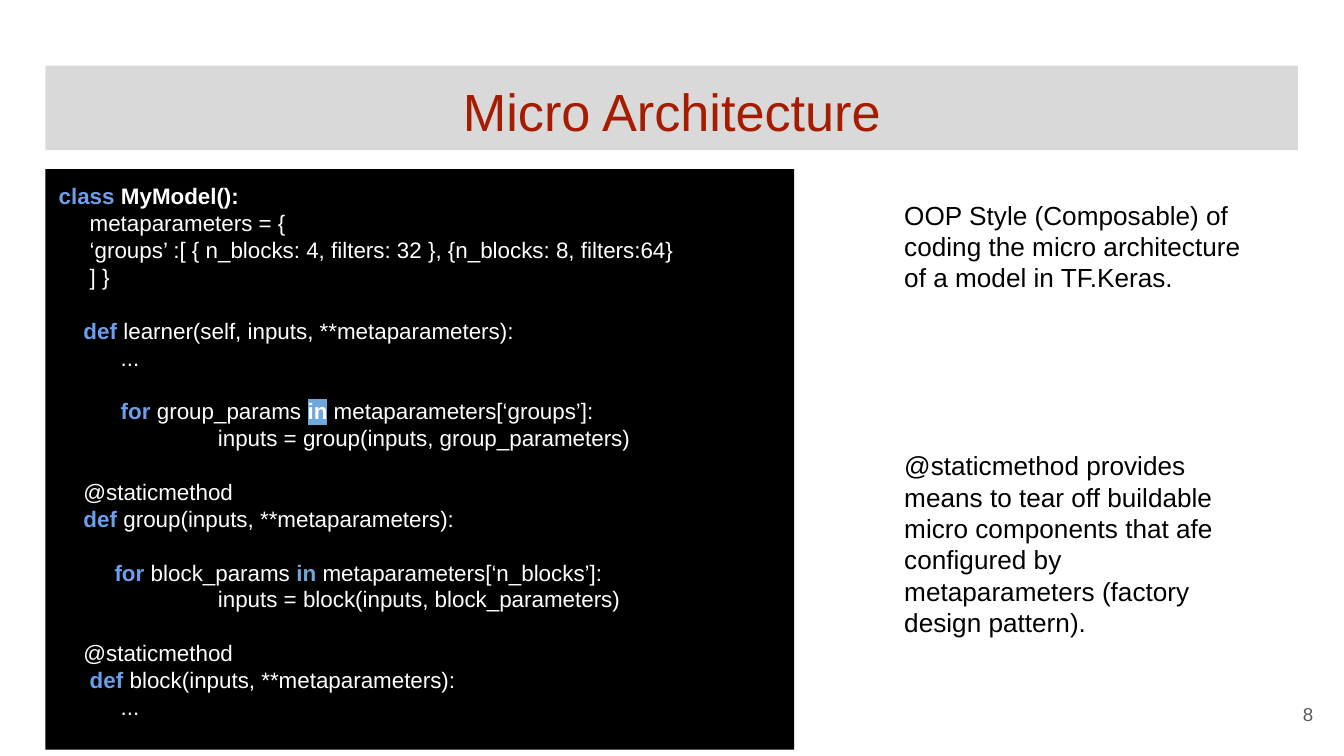
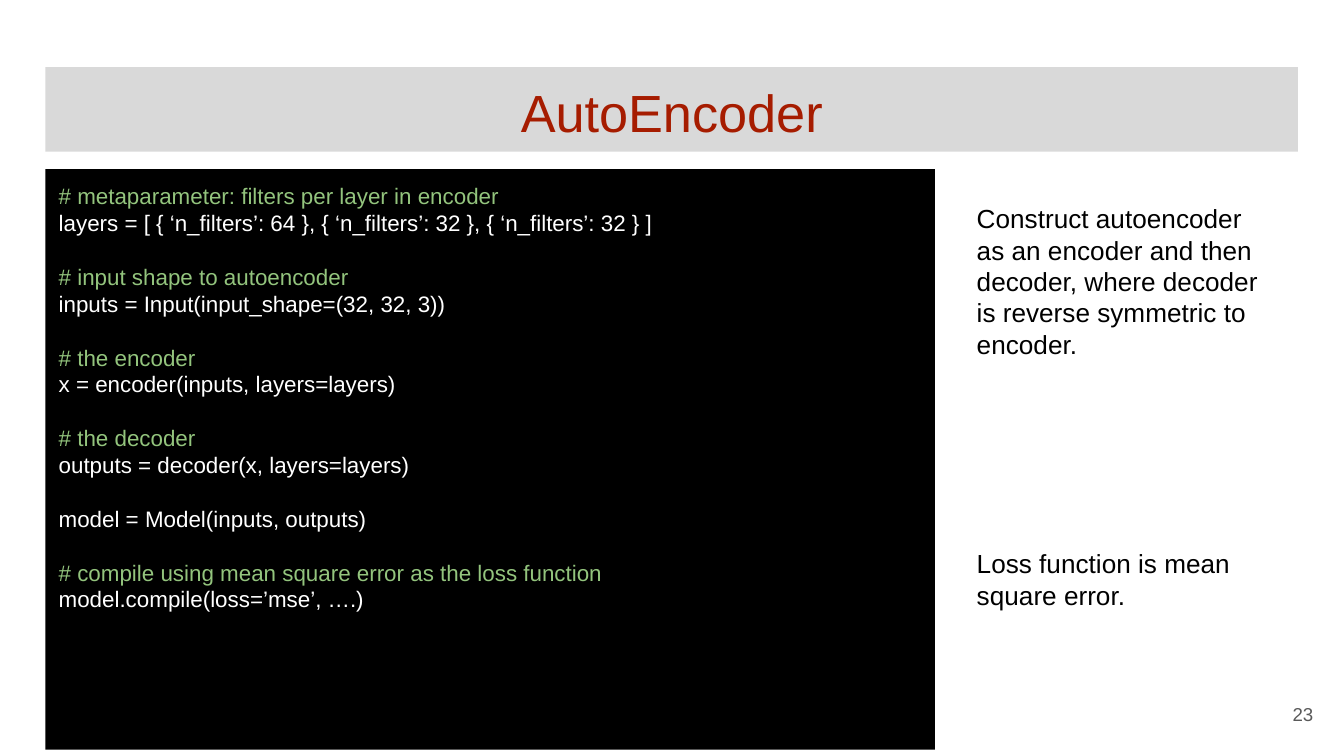
from dataclasses import dataclass
from typing import NamedTuple

import lxml.etree
import pptx
import pptx.dml.color
import pptx.enum.shapes
import pptx.enum.text
import pptx.oxml.ns
import pptx.util

Cm = pptx.util.Cm
Pt = pptx.util.Pt
Align = pptx.enum.text.PP_ALIGN
Anchor = pptx.enum.text.MSO_ANCHOR

COLORS = {
    "band": "D9D9D9",
    "title": "A61C00",
    "panel": "000000",
    "code": "FFFFFF",
    "keyword": "6D9EEB",
    "operator": "6FA8DC",
    "comment": "93C47D",
    "remark": "000000",
    "number": "595959",
}
FONT = "Arial"
LEFT = 0.86
LINE_FACTOR = 1.2
CODE_SIZE = 12
REMARK_SIZE = 14
INSET = Cm(0.25)
TAB_STOP = Cm(2.54)


class Box(NamedTuple):
    """Left, top, width and height in centimetres."""
    left: float
    top: float
    width: float
    height: float

    def lengths(self) -> tuple:
        return tuple(Cm(value) for value in self)


class Span(NamedTuple):
    text: str
    color: str = "code"
    bold: bool = False
    highlight: str = ""


@dataclass
class Remark:
    text: str
    lines_before: int = 0


@dataclass
class CodeSlide:
    title: str
    title_top: float
    code: list
    code_width: float
    remarks: list
    remark_box: Box
    number: int


def keyword(text: str) -> Span:
    return Span(text, "keyword", True)


def comment(text: str) -> list:
    return [Span(text, "comment")]


def plain(text: str) -> list:
    return [Span(text)]


BLANK = []

SLIDES = [
    CodeSlide(
        title="Micro Architecture",
        title_top=1.24,
        code=[
            [keyword("class "), Span("MyModel():", bold=True)],
            plain("     metaparameters = {"),
            plain("     ‘groups’ :[ { n_blocks: 4, filters: 32 }, {n_blocks: 8, filters:64} "),
            plain("     ] }"),
            BLANK,
            [keyword("    def "), Span("learner(self, inputs, **metaparameters):")],
            plain("          ..."),
            BLANK,
            [keyword("          for"), Span(" group_params "),
             Span("in", bold=True, highlight="operator"), Span(" metaparameters[‘groups’]:")],
            plain("\t    inputs = group(inputs, group_parameters)"),
            BLANK,
            plain("    @staticmethod"),
            [keyword("    def "), Span("group(inputs, **metaparameters):")],
            BLANK,
            [keyword("         for"), Span(" block_params "),
             Span("in", "operator", True), Span(" metaparameters[‘n_blocks’]:")],
            plain("\t    inputs = block(inputs, block_parameters)"),
            BLANK,
            plain("    @staticmethod"),
            [keyword("     def "), Span("block(inputs, **metaparameters):")],
            plain("          ..."),
        ],
        code_width=14.15,
        remarks=[
            Remark("OOP Style (Composable) of coding the micro architecture of a model in TF.Keras."),
            Remark("@staticmethod provides means to tear off buildable micro components that afe "
                   "configured by metaparameters (factory design pattern).", 5),
        ],
        remark_box=Box(16.84, 3.51, 7.21, 10.03),
        number=8,
    ),
    CodeSlide(
        title="AutoEncoder",
        title_top=1.27,
        code=[
            comment("# metaparameter: filters per layer in encoder"),
            plain("layers = [ { ‘n_filters’: 64 }, { ‘n_filters’: 32 }, { ‘n_filters’: 32 } ]"),
            BLANK,
            comment("# input shape to autoencoder"),
            plain("inputs = Input(input_shape=(32, 32, 3))"),
            BLANK,
            comment("# the encoder"),
            plain("x = encoder(inputs, layers=layers)"),
            BLANK,
            comment("# the decoder"),
            plain("outputs = decoder(x, layers=layers)"),
            BLANK,
            plain("model = Model(inputs, outputs)"),
            BLANK,
            comment("# compile using mean square error as the loss function"),
            plain("model.compile(loss=’mse’, ….)"),
        ],
        code_width=16.81,
        remarks=[
            Remark("Construct autoencoder as an encoder and then decoder, where decoder "
                   "is reverse symmetric to encoder."),
            Remark("Loss function is mean square error.", 6),
        ],
        remark_box=Box(18.21, 3.58, 6.12, 10.31),
        number=23,
    ),
]


def rgb(name: str) -> pptx.dml.color.RGBColor:
    return pptx.dml.color.RGBColor.from_string(COLORS[name])


def prepare_frame(shape, anchor=Anchor.TOP):
    frame = shape.text_frame
    frame.word_wrap = True
    frame.vertical_anchor = anchor
    frame.margin_left = frame.margin_right = INSET
    frame.margin_top = frame.margin_bottom = INSET
    return frame


def add_panel(slide, box: Box, fill: str):
    """Add a borderless filled rectangle and return its text frame."""
    shape = slide.shapes.add_shape(pptx.enum.shapes.MSO_SHAPE.RECTANGLE, *box.lengths())
    shape.shadow.inherit = False
    shape.fill.solid()
    shape.fill.fore_color.rgb = rgb(fill)
    shape.line.fill.background()
    return prepare_frame(shape)


def style_paragraph(paragraph, size: int, color: str, alignment=Align.LEFT) -> None:
    paragraph.alignment = alignment
    paragraph.font.name = FONT
    paragraph.font.size = Pt(size)
    paragraph.font.color.rgb = rgb(color)


def space_lines(paragraph, size: int, lines_before: int) -> None:
    """Fix the line height and leave a gap of whole lines above."""
    line_height = size * LINE_FACTOR
    paragraph.line_spacing = Pt(line_height)
    if lines_before:
        paragraph.space_before = Pt(lines_before * line_height)


def next_paragraph(frame, first: bool):
    return frame.paragraphs[0] if first else frame.add_paragraph()


def add_tab_stop(paragraph) -> None:
    properties = paragraph._p.get_or_add_pPr()
    tabs = lxml.etree.SubElement(properties, pptx.oxml.ns.qn("a:tabLst"))
    lxml.etree.SubElement(tabs, pptx.oxml.ns.qn("a:tab"), pos=str(TAB_STOP), algn="l")


def add_highlight(run, color: str) -> None:
    properties = run._r.get_or_add_rPr()
    highlight = lxml.etree.SubElement(properties, pptx.oxml.ns.qn("a:highlight"))
    lxml.etree.SubElement(highlight, pptx.oxml.ns.qn("a:srgbClr"), val=COLORS[color])


def add_title(slide, text: str, top: float) -> None:
    frame = add_panel(slide, Box(LEFT, top, 23.67, 1.6), "band")
    paragraph = frame.paragraphs[0]
    paragraph.text = text
    style_paragraph(paragraph, 28, "title", Align.CENTER)


def add_code(slide, lines: list, width: float) -> None:
    frame = add_panel(slide, Box(LEFT, 3.2, width, 10.97), "panel")
    blanks = 0
    for index, spans in enumerate(lines):
        if not spans:
            blanks += 1
            continue
        paragraph = next_paragraph(frame, index == 0)
        if spans[0].text.startswith("\t"):
            add_tab_stop(paragraph)
        space_lines(paragraph, CODE_SIZE, blanks)
        style_paragraph(paragraph, CODE_SIZE, "code")
        blanks = 0
        for span in spans:
            run = paragraph.add_run()
            run.text = span.text
            run.font.bold = span.bold
            run.font.color.rgb = rgb(span.color)
            if span.highlight:
                add_highlight(run, span.highlight)


def add_remarks(slide, remarks: list, box: Box) -> None:
    """Add the remarks beside the code."""
    frame = prepare_frame(slide.shapes.add_textbox(*box.lengths()))
    for index, remark in enumerate(remarks):
        paragraph = next_paragraph(frame, index == 0)
        paragraph.text = remark.text
        space_lines(paragraph, REMARK_SIZE, remark.lines_before)
        style_paragraph(paragraph, REMARK_SIZE, "remark")


def add_page_number(slide, number: int) -> None:
    box = Box(23.55, 12.95, 1.52, 1.09)
    frame = prepare_frame(slide.shapes.add_textbox(*box.lengths()), Anchor.MIDDLE)
    paragraph = frame.paragraphs[0]
    paragraph.text = str(number)
    style_paragraph(paragraph, 10, "number", Align.RIGHT)


def main() -> None:
    presentation = pptx.Presentation()
    presentation.slide_width = Cm(25.4)
    presentation.slide_height = Cm(14.29)
    for content in SLIDES:
        slide = presentation.slides.add_slide(presentation.slide_layouts[6])
        add_title(slide, content.title, content.title_top)
        add_code(slide, content.code, content.code_width)
        add_remarks(slide, content.remarks, content.remark_box)
        add_page_number(slide, content.number)
    presentation.save("out.pptx")


if __name__ == "__main__":
    main()
